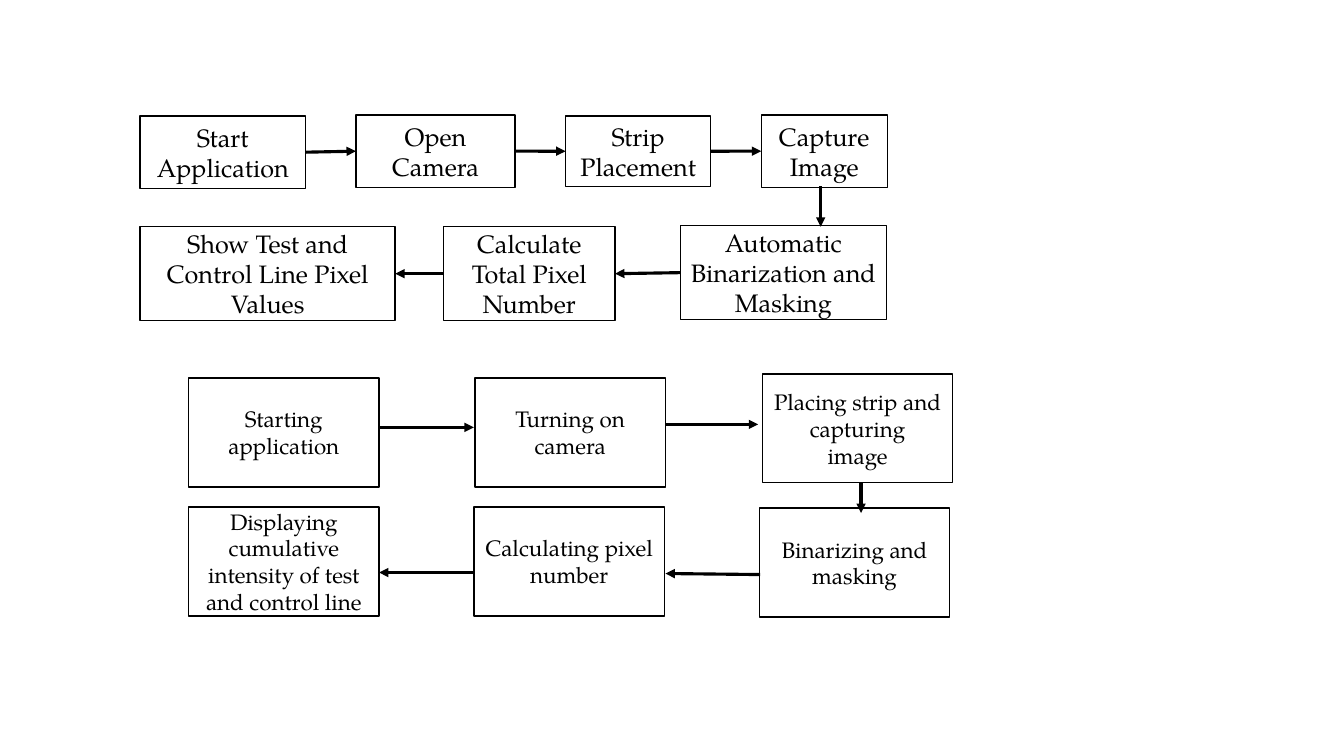
from lxml.etree import SubElement
from pptx import Presentation
from pptx.dml.color import RGBColor
from pptx.enum.shapes import MSO_CONNECTOR, MSO_SHAPE
from pptx.enum.text import MSO_ANCHOR, PP_ALIGN
from pptx.oxml.ns import qn
from pptx.util import Inches, Pt

BLACK = RGBColor(0x00, 0x00, 0x00)
WHITE = RGBColor(0xFF, 0xFF, 0xFF)
TOP, LEFT, BOTTOM, RIGHT = range(4)


class FlowSlide:
    """Style and current slide of the flow charts."""

    font = "TeX Gyre Pagella"
    box_line = Pt(1)
    arrow_line = Pt(2.25)

    def __init__(self, slide):
        self.slide = slide

    def box(self, text, left, top, width, height, size):
        shape = self.slide.shapes.add_shape(
            MSO_SHAPE.RECTANGLE,
            Inches(left), Inches(top), Inches(width), Inches(height))
        shape.shadow.inherit = False
        shape.fill.solid()
        shape.fill.fore_color.rgb = WHITE
        shape.line.color.rgb = BLACK
        shape.line.width = self.box_line
        frame = shape.text_frame
        frame.word_wrap = True
        frame.vertical_anchor = MSO_ANCHOR.MIDDLE
        for index, line in enumerate(text.split("\n")):
            paragraph = frame.add_paragraph() if index else frame.paragraphs[0]
            paragraph.alignment = PP_ALIGN.CENTER
            run = paragraph.add_run()
            run.text = line
            run.font.name = self.font
            run.font.size = Pt(size)
            run.font.color.rgb = BLACK
        return shape

    def arrow(self, x1, y1, x2, y2):
        connector = self.slide.shapes.add_connector(
            MSO_CONNECTOR.STRAIGHT,
            Inches(x1), Inches(y1), Inches(x2), Inches(y2))
        connector.line.color.rgb = BLACK
        connector.line.width = self.arrow_line
        properties = connector.line._get_or_add_ln()
        SubElement(properties, qn("a:tailEnd"), type="triangle")
        SubElement(connector._element.spPr, qn("a:effectLst"))
        return connector

    def join(self, source, source_side, target, target_side):
        connector = self.arrow(0, 0, 0, 0)
        connector.begin_connect(source, source_side)
        connector.end_connect(target, target_side)


def main():
    presentation = Presentation()
    presentation.slide_width = Inches(13.33)
    presentation.slide_height = Inches(7.5)
    flow = FlowSlide(presentation.slides.add_slide(presentation.slide_layouts[6]))

    # Upper chart: first row runs right, second row runs left
    capture_row = [
        flow.box(text, left, top, width, height, 18)
        for text, left, top, width, height in (
            ("Start Application", 1.39, 1.15, 1.64, 0.72),
            ("Open Camera", 3.53, 1.14, 1.58, 0.72),
            ("Strip Placement", 5.61, 1.15, 1.44, 0.7),
            ("Capture Image", 7.55, 1.14, 1.25, 0.72),
        )]
    analysis_row = [
        flow.box(text, left, top, width, 0.93, 18)
        for text, left, top, width in (
            ("Automatic Binarization and Masking", 6.75, 2.24, 2.04),
            ("Calculate\nTotal Pixel Number", 4.4, 2.25, 1.7),
            ("Show Test and Control Line Pixel Values", 1.39, 2.25, 2.53),
        )]
    for source, target in zip(capture_row, capture_row[1:]):
        flow.join(source, RIGHT, target, LEFT)
    for source, target in zip(analysis_row, analysis_row[1:]):
        flow.join(source, LEFT, target, RIGHT)
    flow.arrow(8.14, 1.85, 8.14, 2.25)

    # Lower chart: six boxes of one size
    for text, left, top in (
        ("Starting application", 1.87, 3.75),
        ("Turning on camera", 4.71, 3.75),
        ("Placing strip and capturing\nimage", 7.56, 3.71),
        ("Binarizing and masking", 7.53, 5.04),
        ("Calculating pixel number", 4.7, 5.03),
        ("Displaying cumulative intensity of test and control line", 1.87, 5.03),
    ):
        flow.box(text, left, top, 1.89, 1.08, 16)

    # Lower arrows, which sit off the middle of the sides
    for ends in (
        (3.77, 4.24, 4.7, 4.24),
        (6.6, 4.21, 7.52, 4.21),
        (8.54, 4.79, 8.54, 5.09),
        (7.54, 5.7, 6.6, 5.69),
        (4.7, 5.68, 3.76, 5.68),
    ):
        flow.arrow(*ends)

    presentation.save("out.pptx")


if __name__ == "__main__":
    main()
